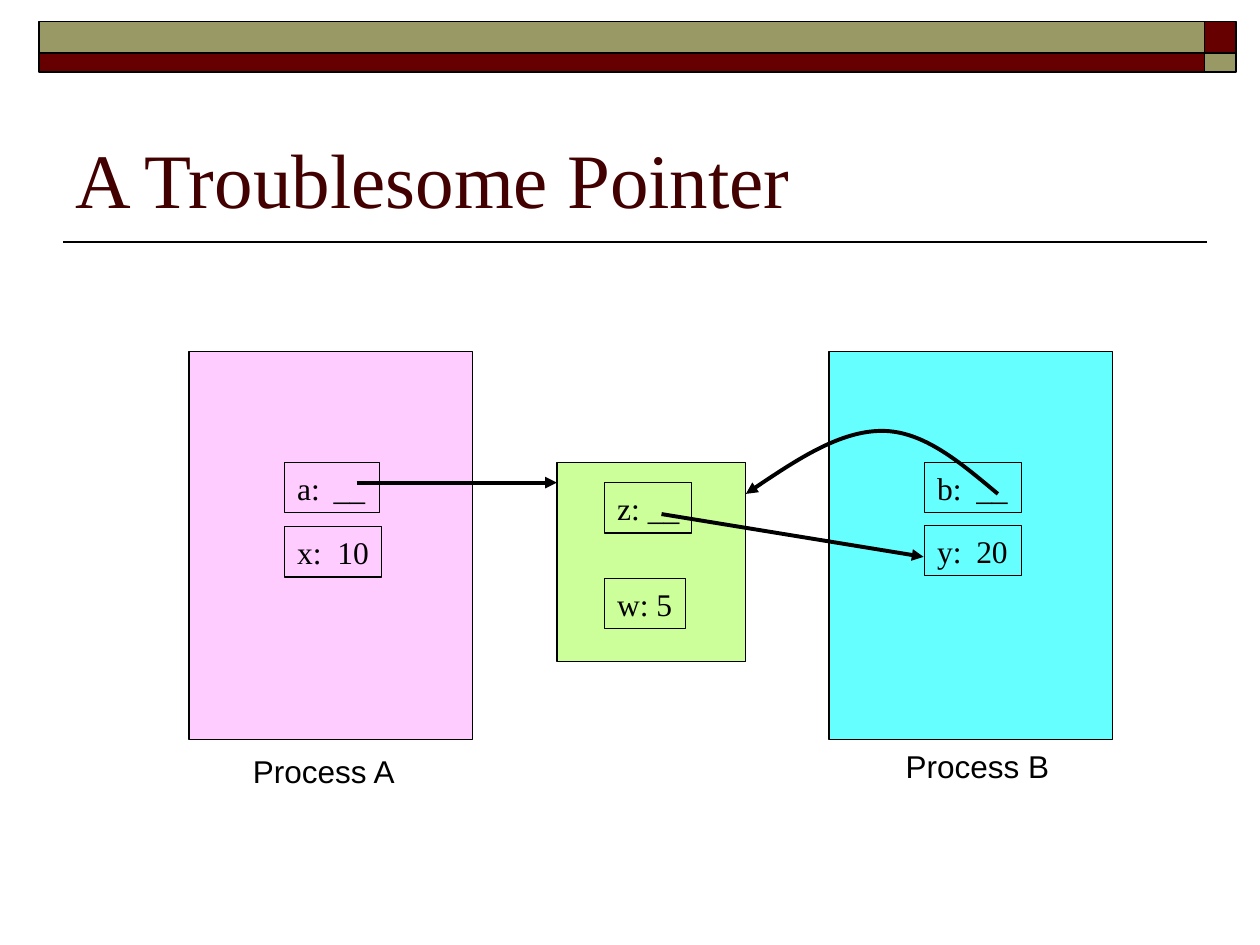
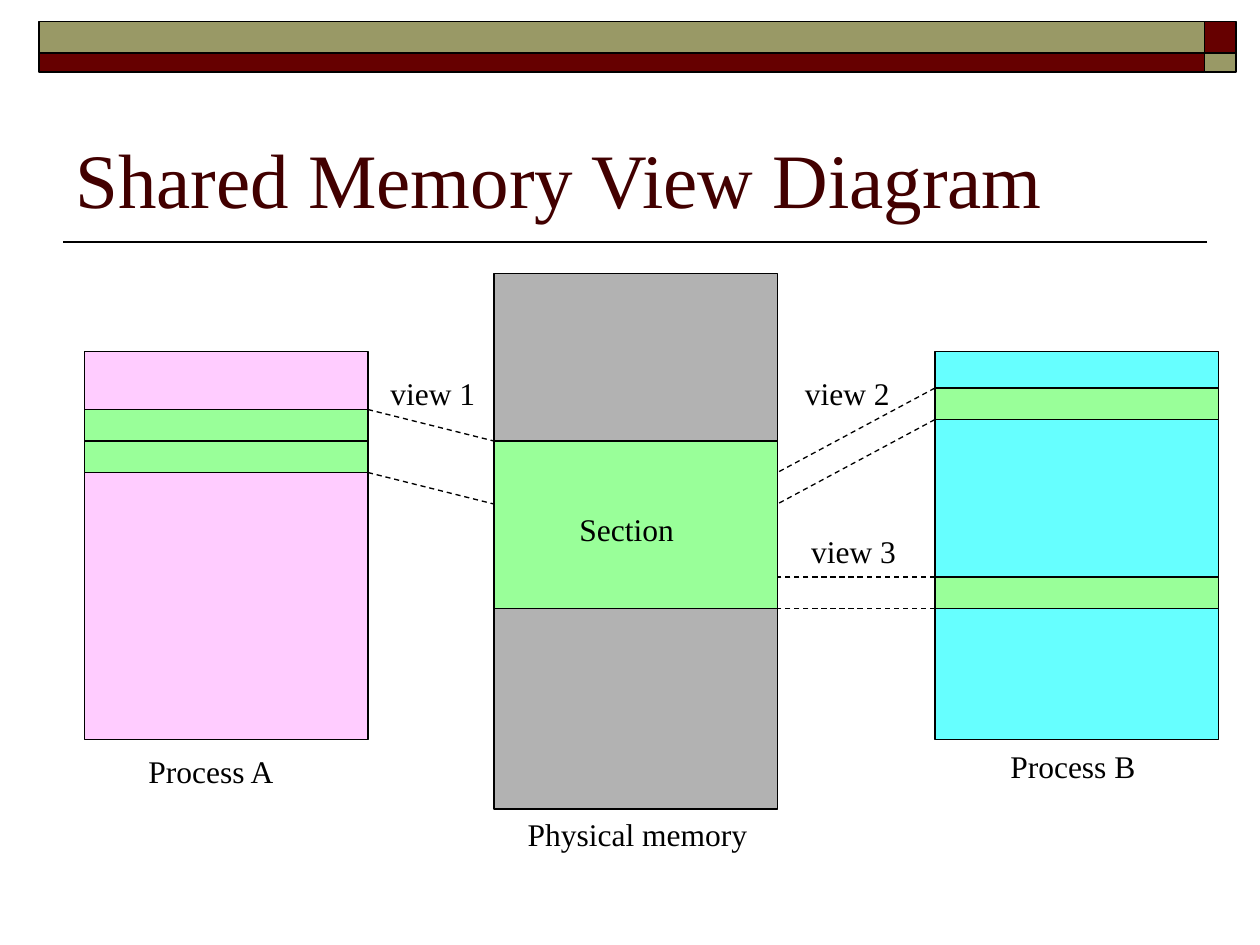
from typing import NamedTuple, Optional

from lxml import etree
from pptx import Presentation
from pptx import util as u
from pptx.dml.color import RGBColor
from pptx.enum import dml, shapes, text
from pptx.oxml.ns import qn

BLACK, MAROON, OLIVE, TITLE = "000000", "660000", "999966", "420000"
PINK, CYAN, LIME, GREEN, GRAY = "FFCCFF", "66FFFF", "CCFF99", "99FF99", "B2B2B2"
SERIF, SANS = "Times New Roman", "Arial"
THIN, FRAME, BOLD = 0.75, 1, 2.25

PROCESS_TOP, PROCESS_HEIGHT = 2.79, 3.08
COLUMN_WIDTH = 2.25
LABEL_HEIGHT = 0.4
VIEW_HEIGHT = 0.25
VALUE_TAB = 0.32


class Block(NamedTuple):
    left: float
    top: float
    width: float
    height: float
    fill: Optional[str]


class Label(NamedTuple):
    words: str
    left: float
    top: float
    width: float
    font: str = SERIF
    framed: bool = False
    value_tab: float = VALUE_TAB


class Segment(NamedTuple):
    x1: float
    y1: float
    x2: float
    y2: float


def color(hex_code: str) -> RGBColor:
    return RGBColor.from_string(hex_code)


def draw_block(slide, block: Block, weight: float = THIN):
    rect = slide.shapes.add_shape(shapes.MSO_SHAPE.RECTANGLE, *map(u.Inches, block[:4]))
    rect.shadow.inherit = False
    if block.fill:
        rect.fill.solid()
        rect.fill.fore_color.rgb = color(block.fill)
    else:
        rect.fill.background()
    rect.line.color.rgb = color(BLACK)
    rect.line.width = u.Pt(weight)
    return rect


def set_text(shape, words: str, size: float, font: str, hex_code: str,
             value_tab: float = VALUE_TAB) -> None:
    paragraph = shape.text_frame.paragraphs[0]
    paragraph.text = words
    if "\t" in words:
        tabs = etree.SubElement(paragraph._p.get_or_add_pPr(), qn("a:tabLst"))
        etree.SubElement(tabs, qn("a:tab"), pos=str(u.Inches(value_tab)), algn="l")
    paragraph.alignment = text.PP_ALIGN.LEFT
    paragraph.font.size = u.Pt(size)
    paragraph.font.name = font
    paragraph.font.color.rgb = color(hex_code)


def draw_label(slide, label: Label) -> None:
    area = (label.left, label.top, label.width, LABEL_HEIGHT)
    if label.framed:
        box = draw_block(slide, Block(*area, None))
    else:
        box = slide.shapes.add_textbox(*map(u.Inches, area))
    frame = box.text_frame
    frame.word_wrap = False
    frame.auto_size = text.MSO_AUTO_SIZE.SHAPE_TO_FIT_TEXT
    frame.vertical_anchor = text.MSO_ANCHOR.TOP
    set_text(box, label.words, 18, label.font, BLACK, label.value_tab)


def style_line(line, weight: float, arrow: bool = False, dashed: bool = False) -> None:
    line.color.rgb = color(BLACK)
    line.width = u.Pt(weight)
    if dashed:
        line.dash_style = dml.MSO_LINE.DASH
    if arrow:
        etree.SubElement(line._get_or_add_ln(), qn("a:tailEnd"), type="triangle")


def draw_line(slide, segment: Segment, weight: float, arrow: bool = False,
              dashed: bool = False) -> None:
    connector = slide.shapes.add_connector(
        shapes.MSO_CONNECTOR.STRAIGHT, *map(u.Inches, segment))
    style_line(connector.line, weight, arrow, dashed)
    etree.SubElement(connector._element.spPr, qn("a:effectLst"))


def draw_curved_arrow(slide, points: list[tuple[float, float]]) -> None:
    """Draw Bezier pieces: a start, then two control points and an end for each."""
    start, *rest = [(u.Inches(x), u.Inches(y)) for x, y in points]
    builder = slide.shapes.build_freeform(*start)
    builder.add_line_segments(rest, close=False)
    curve = builder.convert_to_shape()
    curve.shadow.inherit = False
    curve.fill.background()
    style_line(curve.line, BOLD, arrow=True)
    steps = list(curve._element.iter(qn("a:lnTo")))
    for first in range(0, len(steps), 3):
        bezier = etree.Element(qn("a:cubicBezTo"))
        steps[first].addprevious(bezier)
        for step in steps[first:first + 3]:
            bezier.append(step[0])
            step.getparent().remove(step)


def add_titled_slide(prs, title: str):
    """Add a slide with the top bands, the rule and the title."""
    slide = prs.slides.add_slide(prs.slide_layouts[6])
    draw_line(slide, Segment(9.58, 1.92, 0.5, 1.92), FRAME)
    for top, height, band, corner in ((0.17, 0.25, OLIVE, MAROON),
                                      (0.42, 0.15, MAROON, OLIVE)):
        draw_block(slide, Block(9.56, top, 0.25, height, corner), FRAME)
        draw_block(slide, Block(0.31, top, 9.25, height, band), FRAME)
    heading = slide.shapes.add_textbox(*map(u.Inches, (0.5, 0.58, 9, 1.25)))
    heading.text_frame.word_wrap = True
    heading.text_frame.vertical_anchor = text.MSO_ANCHOR.BOTTOM
    set_text(heading, title, 44, SERIF, TITLE)
    return slide


def draw_processes(slide, left_a: float, left_b: float) -> None:
    for left, fill in ((left_a, PINK), (left_b, CYAN)):
        draw_block(slide, Block(left, PROCESS_TOP, COLUMN_WIDTH, PROCESS_HEIGHT, fill))


def build_pointer_slide(prs) -> None:
    slide = add_titled_slide(prs, "A Troublesome Pointer")
    draw_processes(slide, 1.5, 6.58)
    draw_line(slide, Segment(2.83, 3.83, 4.42, 3.83), BOLD, arrow=True)
    draw_block(slide, Block(4.42, 3.67, 1.5, 1.58, LIME))
    for label in (
        Label("Process A", 1.91, 5.92, 1.34, SANS),
        Label("Process B", 7.09, 5.88, 1.34, SANS),
        Label("a:\t__", 2.26, 3.67, 0.75, framed=True, value_tab=0.29),
        Label("x:\t10", 2.26, 4.18, 0.77, framed=True),
        Label("b:\t__", 7.34, 3.67, 0.77, framed=True, value_tab=0.31),
        Label("y:\t20", 7.34, 4.17, 0.77, framed=True, value_tab=0.31),
        Label("z: __", 4.8, 3.83, 0.69, framed=True),
        Label("w: 5", 4.8, 4.59, 0.64, framed=True),
    ):
        draw_label(slide, label)
    draw_curved_arrow(slide, [(7.92, 3.92), (7.62, 3.67), (7.33, 3.42), (7, 3.42),
                              (6.67, 3.42), (6.29, 3.67), (5.92, 3.92)])
    draw_line(slide, Segment(5.25, 4.08, 7.33, 4.42), BOLD, arrow=True)


def build_memory_slide(prs) -> None:
    slide = add_titled_slide(prs, "Shared Memory View Diagram")
    left_a, left_memory, left_b = 0.67, 3.92, 7.42
    right_a, right_memory = left_a + COLUMN_WIDTH, left_memory + COLUMN_WIDTH
    draw_processes(slide, left_a, left_b)
    draw_block(slide, Block(left_memory, 2.17, COLUMN_WIDTH, 4.25, GRAY))
    draw_block(slide, Block(left_memory, 3.5, COLUMN_WIDTH, 1.33, GREEN))
    for left, top in ((left_a, 3.25), (left_a, 3.5), (left_b, 3.08), (left_b, 4.58)):
        draw_block(slide, Block(left, top, COLUMN_WIDTH, VIEW_HEIGHT, GREEN))
    for view_edge, view_top, memory_edge, memory_top, height in (
        (right_a, 3.25, left_memory, 3.5, 2 * VIEW_HEIGHT),
        (left_b, 3.08, right_memory, 3.75, VIEW_HEIGHT),
        (left_b, 4.58, right_memory, 4.58, VIEW_HEIGHT),
    ):
        for drop in (0, height):
            edge = Segment(view_edge, view_top + drop, memory_edge, memory_top + drop)
            draw_line(slide, edge, THIN, dashed=True)
    for label in (
        Label("Process A", 1.08, 5.92, 1.2),
        Label("Process B", 7.92, 5.88, 1.19),
        Label("Physical memory", 4.09, 6.42, 1.94),
        Label("Section", 4.5, 4, 0.95),
        Label("view 1", 3, 2.92, 0.87),
        Label("view 2", 6.29, 2.92, 0.87),
        Label("view 3", 6.34, 4.17, 0.87),
    ):
        draw_label(slide, label)


def main() -> None:
    prs = Presentation()
    prs.slide_width, prs.slide_height = u.Inches(10), u.Inches(7.5)
    build_pointer_slide(prs)
    build_memory_slide(prs)
    prs.save("out.pptx")


if __name__ == "__main__":
    main()
